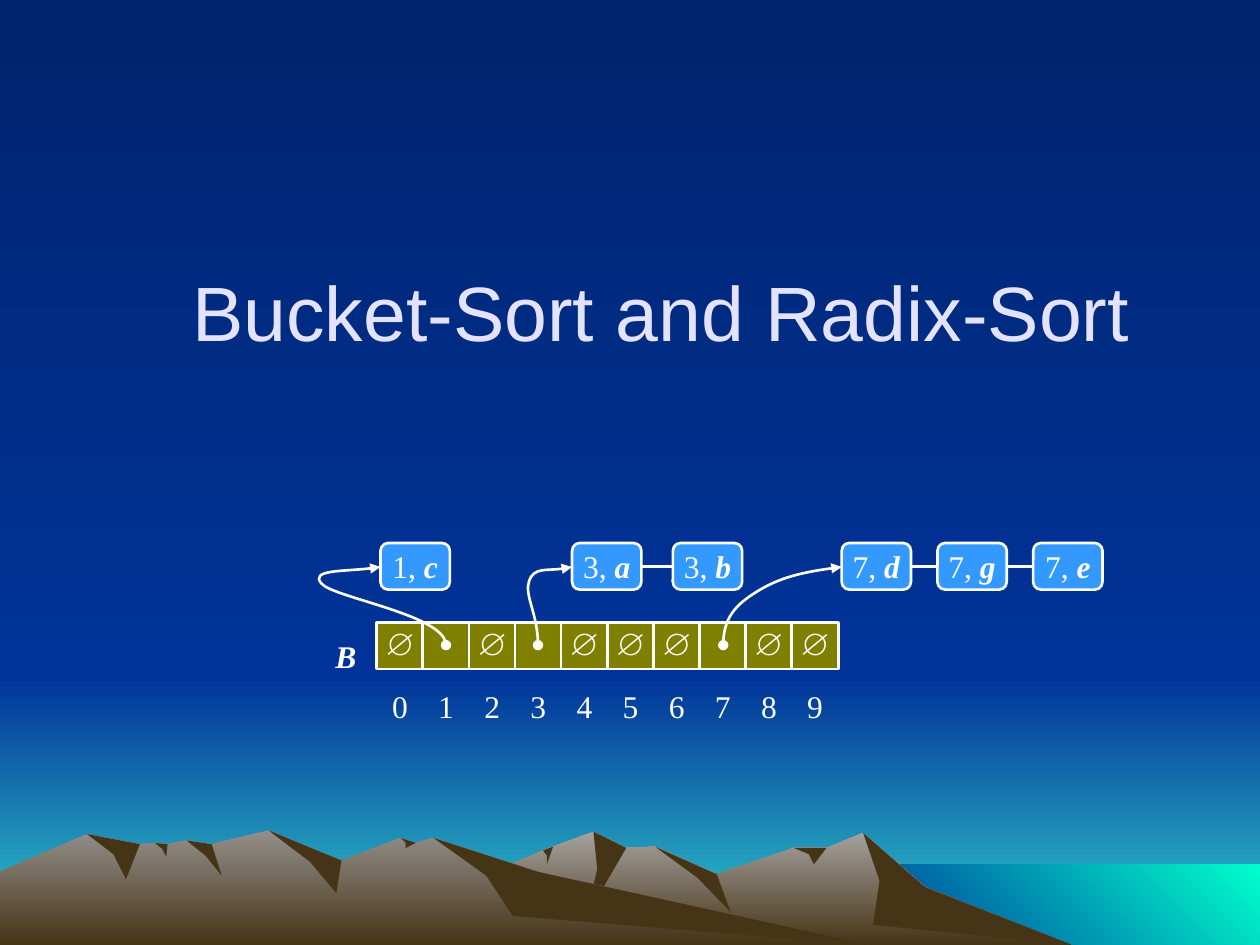
from dataclasses import dataclass

from lxml.etree import SubElement
from pptx import Presentation
from pptx.dml.color import RGBColor
from pptx.enum.shapes import MSO_CONNECTOR, MSO_SHAPE
from pptx.enum.text import MSO_ANCHOR, MSO_AUTO_SIZE, PP_ALIGN
from pptx.oxml.ns import qn
from pptx.util import Inches, Pt

UNIT = Inches(0.01)
COLS, ROWS = 1000, 750
HORIZON, SHORE, SHORE_LEFT = 536, 686, 683
CELL_LEFT, CELL_TOP, CELL_SIDE, CELL_PITCH = 299, 494, 37, 36.6
NODE_TOP, NODE_W, NODE_H = 431, 55, 37
MARK_W, MARK_H = 41, 40


@dataclass(frozen=True)
class Theme:
    """Colours, fonts and sizes of the slide."""
    night: str = "00246D"
    blue: str = "003399"
    horizon: str = "33CCCC"
    water: str = "00FFCC"
    rock: str = "463416"
    near_peak: str = "938F8B"
    far_peak: str = "A5A29F"
    title: str = "E3E3FF"
    ink: str = "FFFFFF"
    cell: str = "808000"
    node: str = "3399FF"
    sans: str = "Arial"
    serif: str = "Times New Roman"
    title_size: int = 44
    text_size: int = 18
    stroke: float = 1.5


@dataclass(frozen=True)
class Peak:
    """A crest, the lee end of its ridge and the foot of its shade."""
    crest: tuple
    lee: tuple
    foot: tuple


@dataclass(frozen=True)
class Chain:
    """The entries of one bucket and the bend of the arrow to them."""
    bucket: int
    values: str
    left: int
    pitch: int
    bend: tuple


T = Theme()
FAR_PEAKS = [
    Peak(crest=(431, 675), lee=(439, 672), foot=(434, 686)),
    Peak(crest=(471, 660), lee=(497, 673), foot=(465, 728)),
    Peak(crest=(520, 672), lee=(569, 694), foot=(580, 724)),
    Peak(crest=(630, 673), lee=(656, 673), foot=(646, 686)),
    Peak(crest=(685, 661), lee=(734, 704), foot=(693, 734)),
]
NEAR_PEAKS = [
    Peak(crest=(69, 662), lee=(111, 670), foot=(100, 698)),
    Peak(crest=(123, 669), lee=(133, 670), foot=(132, 680)),
    Peak(crest=(148, 667), lee=(168, 670), foot=(176, 695)),
    Peak(crest=(213, 659), lee=(271, 683), foot=(267, 709)),
    Peak(crest=(318, 665), lee=(330, 669), foot=(322, 673)),
    Peak(crest=(344, 665), lee=(427, 692), foot=(407, 727)),
]
CHAINS = [
    Chain(bucket=1, values="c", left=302, pitch=0, bend=(255, 463)),
    Chain(bucket=3, values="ab", left=454, pitch=80, bend=(420, 461)),
    Chain(bucket=7, values="dge", left=668, pitch=76, bend=(600, 470)),
]


def grid(*values):
    """Turn grid units into slide lengths."""
    return [int(v * UNIT) for v in values]


def rgb(code):
    """Return a colour from its hex code."""
    return RGBColor.from_string(code)


def mix(a, b, share):
    """Return the point that lies a share of the way from a to b."""
    return tuple(u + (v - u) * share for u, v in zip(a, b))


def paint(fill, colors, angle=270):
    """Fill with one colour, or with a gradient of two."""
    if len(colors) == 1:
        fill.solid()
        fill.fore_color.rgb = rgb(colors[0])
        return
    fill.gradient()
    fill.gradient_angle = angle
    for stop, color, position in zip(fill.gradient_stops, colors, (0, 1)):
        stop.color.rgb = rgb(color)
        stop.position = position


def outline(line):
    """Give a line the stroke of the diagram."""
    line.color.rgb = rgb(T.ink)
    line.width = Pt(T.stroke)


def write(sp, *runs, size=T.text_size, font=T.serif, color=T.ink,
          anchor=MSO_ANCHOR.TOP, insets=(10, 5, 10, 5), wrap=False):
    """Write centred runs, each given as (text, emphasised)."""
    tf = sp.text_frame
    tf.auto_size = MSO_AUTO_SIZE.NONE
    tf.word_wrap = wrap
    tf.vertical_anchor = anchor
    tf.margin_left, tf.margin_top, tf.margin_right, tf.margin_bottom = grid(*insets)
    p = tf.paragraphs[0]
    p.alignment = PP_ALIGN.CENTER
    for text, emphasised in runs:
        r = p.add_run()
        r.text = text
        r.font.name, r.font.size = font, Pt(size)
        r.font.color.rgb = rgb(color)
        r.font.bold = r.font.italic = emphasised


def trace(s, points, close):
    """Add an outline through the points."""
    builder = s.shapes.build_freeform(*points[0], scale=UNIT)
    builder.add_line_segments(points[1:], close=close)
    sp = builder.convert_to_shape()
    sp.shadow.inherit = False
    return sp


def area(s, points, *colors):
    """Add a filled outline without a line."""
    sp = trace(s, points, True)
    paint(sp.fill, colors)
    sp.line.fill.background()


def box(s, kind, left, top, width, height, *colors, angle=270):
    """Add an outlined preset shape."""
    sp = s.shapes.add_shape(kind, *grid(left, top, width, height))
    sp.shadow.inherit = False
    paint(sp.fill, colors, angle)
    outline(sp.line)
    return sp


def band(s, left, top, bottom, *colors, angle=270):
    """Add a rectangle that reaches the right edge."""
    sp = box(s, MSO_SHAPE.RECTANGLE, left, top, COLS - left, bottom - top, *colors, angle=angle)
    sp.line.fill.background()


def label(s, left, top, width, text, emphasised=False):
    """Add a small centred label."""
    write(s.shapes.add_textbox(*grid(left, top, width, MARK_H)), (text, emphasised))


def mountains(s, start, peaks, end, color):
    """Add a range and its shades, the last of which runs out to the end."""
    ridge = [point for peak in peaks for point in (peak.crest, peak.lee)]
    area(s, [start, *ridge, (end, ROWS), (start[0], ROWS)], color, T.rock)
    for peak in peaks:
        jag = mix(mix(peak.crest, peak.foot, 0.5), peak.lee, 0.2)
        tail = [(end, ROWS)] if peak is peaks[-1] else []
        area(s, [peak.crest, peak.lee, *tail, peak.foot, jag], T.rock)


def scenery(s):
    """Add the sky, the water and the mountains."""
    paint(s.background.fill, (T.night, T.blue))
    band(s, 0, HORIZON, ROWS, T.blue, T.horizon)
    band(s, 0, 0, HORIZON, T.night, T.blue)
    band(s, SHORE_LEFT, SHORE, ROWS, T.blue, T.water, angle=45)
    mountains(s, (258, ROWS), FAR_PEAKS, 850, T.far_peak)
    mountains(s, (0, 692), NEAR_PEAKS, 690, T.near_peak)


def cell_left(index):
    """Return the left edge of a bucket."""
    return CELL_LEFT + index * CELL_PITCH


def buckets(s):
    """Add the bucket array with its indices and empty marks."""
    for i in range(10):
        sp = box(s, MSO_SHAPE.RECTANGLE, cell_left(i), CELL_TOP, CELL_SIDE, CELL_SIDE, T.cell)
        write(sp, (str(i), False), insets=(10, 65, 10, 0))
    label(s, 256, 501, CELL_SIDE, "B", emphasised=True)
    for i in set(range(10)) - {chain.bucket for chain in CHAINS}:
        label(s, cell_left(i) - (MARK_W - CELL_SIDE) / 2, 490, MARK_W, "∅")


def entries(s, chain):
    """Add the linked entries of one bucket."""
    y = NODE_TOP + NODE_H / 2
    lefts = [chain.left + i * chain.pitch for i in range(len(chain.values))]
    for a, b in zip(lefts, lefts[1:]):
        link = s.shapes.add_connector(MSO_CONNECTOR.STRAIGHT, *grid(a + NODE_W, y, b, y))
        outline(link.line)
        SubElement(link.element.spPr, qn("a:effectLst"))
    for x, value in zip(lefts, chain.values):
        sp = box(s, MSO_SHAPE.ROUNDED_RECTANGLE, x, NODE_TOP, NODE_W, NODE_H, T.node)
        write(sp, (f"{chain.bucket}, ", False), (value, True),
              anchor=MSO_ANCHOR.MIDDLE, insets=(0, 5, 0, 5))


def pointer(s, chain):
    """Add a smooth arrow from a bucket through its bend to the first entry."""
    half = CELL_SIDE / 2
    start = (cell_left(chain.bucket) + half, CELL_TOP + half)
    bend, end = chain.bend, (chain.left, NODE_TOP + NODE_H / 2)
    dx, dy = ((b - a) / 6 for a, b in zip(start, end))
    rise = (start[0], (start[1] + bend[1]) / 2)
    arrive = ((bend[0] + end[0]) / 2, end[1] + 4)
    before, after = (bend[0] - dx, bend[1] - dy), (bend[0] + dx, bend[1] + dy)
    sp = trace(s, [start, rise, before, bend, after, arrive, end], False)
    sp.fill.background()
    outline(sp.line)
    ln = sp.line.fill._xPr
    SubElement(ln, qn("a:headEnd"), type="oval")
    SubElement(ln, qn("a:tailEnd"), type="triangle")
    curve_path = next(sp.element.iter(qn("a:path")))
    steps = curve_path.findall(qn("a:lnTo"))
    for i in range(0, len(steps), 3):
        curve = SubElement(curve_path, qn("a:cubicBezTo"))
        for step in steps[i:i + 3]:
            curve.append(step[0])
            curve_path.remove(step)


def main():
    """Build the slide and save it."""
    prs = Presentation()
    prs.slide_width, prs.slide_height = grid(COLS, ROWS)
    s = prs.slides.add_slide(prs.slide_layouts[0])
    subtitle = s.placeholders[1].element
    subtitle.getparent().remove(subtitle)
    scenery(s)
    title = s.shapes.title
    title.element.getparent().append(title.element)
    title.left, title.top, title.width, title.height = grid(100, 184, 850, 125)
    write(title, ("Bucket-Sort and Radix-Sort", False), size=T.title_size, font=T.sans,
          color=T.title, anchor=MSO_ANCHOR.MIDDLE, wrap=True)
    buckets(s)
    for chain in CHAINS:
        entries(s, chain)
        pointer(s, chain)
    prs.save("out.pptx")


if __name__ == "__main__":
    main()
